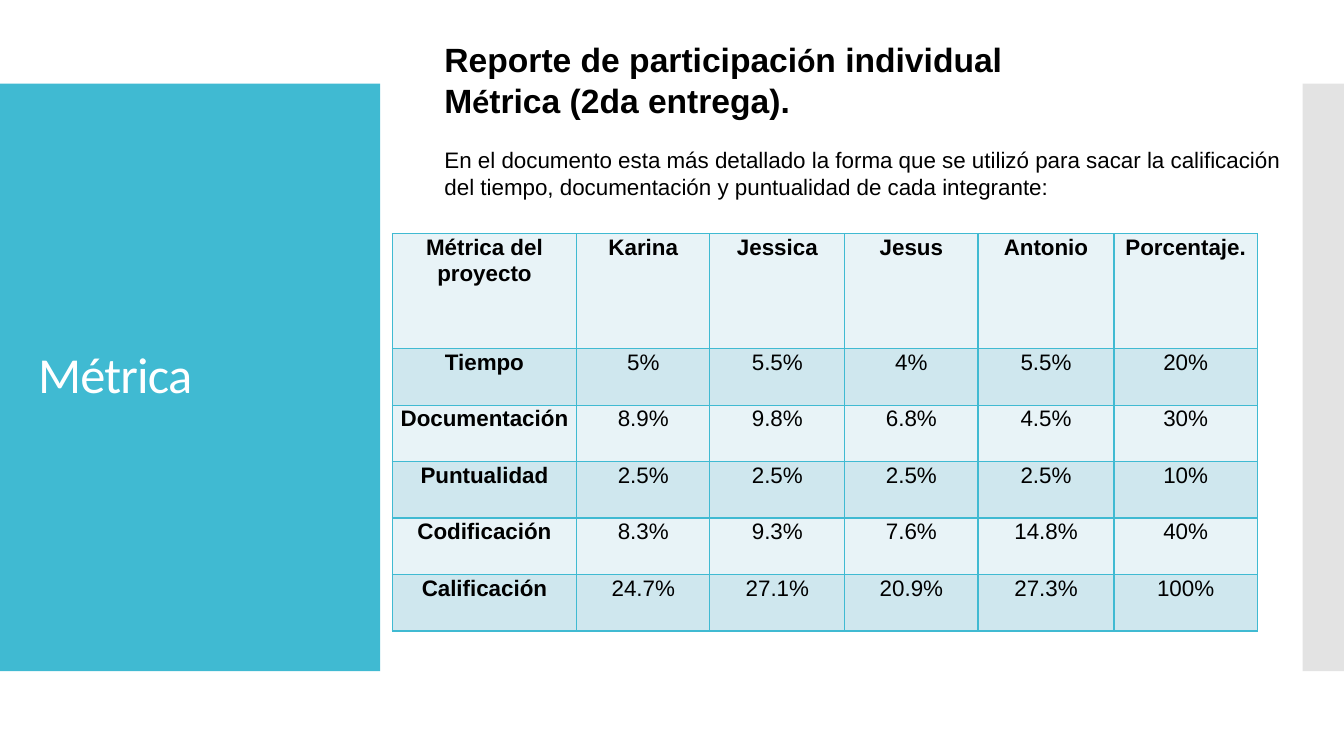
"""Build the slide with the individual participation metrics."""
from lxml import etree
from pptx import Presentation
from pptx.dml.color import RGBColor
from pptx.enum import shapes, text
from pptx.oxml import ns
from pptx.util import Inches, Pt

TEAL = RGBColor(0x40, 0xBA, 0xD2)
GREY = RGBColor(0xC8, 0xC8, 0xC8)
WHITE = RGBColor(0xFF, 0xFF, 0xFF)
BLACK = RGBColor(0, 0, 0)
ROW_FILLS = (RGBColor(0xE8, 0xF3, 0xF7), RGBColor(0xCF, 0xE7, 0xEE))

COLUMN_WIDTHS = (1.83, 1.32, 1.34, 1.32, 1.35, 1.42)
ROW_HEIGHTS = (1.14, 0.56, 0.56, 0.56, 0.56, 0.56)
METRICS = (
    ("Métrica del proyecto", "Karina", "Jessica", "Jesus", "Antonio", "Porcentaje."),
    ("Tiempo", "5%", "5.5%", "4%", "5.5%", "20%"),
    ("Documentación", "8.9%", "9.8%", "6.8%", "4.5%", "30%"),
    ("Puntualidad", "2.5%", "2.5%", "2.5%", "2.5%", "10%"),
    ("Codificación", "8.3%", "9.3%", "7.6%", "14.8%", "40%"),
    ("Calificación", "24.7%", "27.1%", "20.9%", "27.3%", "100%"),
)
HEADING = (
    (("Reporte de participaci", "Arial"), ("ó", "Calibri"), ("n individual", "Arial")),
    (("M", "Arial"), ("é", "Calibri"), ("trica (2da entrega).", "Arial")),
)
EXPLANATION = (
    "En el documento esta más detallado la forma que se utilizó para sacar la "
    "calificación del tiempo, documentación y puntualidad de cada integrante:"
)


def add_panel(slide, left, width, color, opacity=100):
    """Add a side panel of the given colour and opacity in percent."""
    panel = slide.shapes.add_shape(
        shapes.MSO_SHAPE.RECTANGLE, Inches(left), Inches(0.83), Inches(width), Inches(5.83)
    )
    panel.shadow.inherit = False
    panel.line.fill.background()
    panel.fill.solid()
    panel.fill.fore_color.rgb = color
    if opacity < 100:
        color_element = panel.fill._xPr.find(".//" + ns.qn("a:srgbClr"))
        etree.SubElement(color_element, ns.qn("a:alpha"), val=str(opacity * 1000))


def add_text_box(slide, left, top, width, height):
    """Add a wrapping text box and return its text frame."""
    box = slide.shapes.add_textbox(Inches(left), Inches(top), Inches(width), Inches(height))
    box.text_frame.word_wrap = True
    return box.text_frame


def add_run(paragraph, content, size, font="Arial", bold=False, color=BLACK):
    """Add one formatted run to a paragraph and return it."""
    run = paragraph.add_run()
    run.text = content
    run.font.size = Pt(size)
    run.font.name = font
    run.font.bold = bold
    run.font.color.rgb = color
    return run


def add_title(slide):
    """Add the slide title over the teal panel."""
    frame = add_text_box(slide, 0.28, 1.23, 3.22, 5.03)
    frame.vertical_anchor = text.MSO_ANCHOR.MIDDLE
    paragraph = frame.paragraphs[0]
    paragraph.line_spacing = 0.9
    run = add_run(paragraph, "Métrica", 36, "Calibri", color=WHITE)
    run.font._element.set("spc", "-60")


def add_report(slide):
    """Add the report heading and its explanation."""
    frame = add_text_box(slide, 4.31, 0.34, 8.59, 1.72)
    paragraph = frame.paragraphs[0]
    for line in HEADING:
        for content, font in line:
            add_run(paragraph, content, 24, font, bold=True)
        paragraph = frame.add_paragraph()
    paragraph.space_before = Pt(18.5)
    add_run(paragraph, EXPLANATION, 16)


def add_borders(cell):
    """Draw a thin teal border on each side of a cell."""
    properties = cell._tc.get_or_add_tcPr()
    for index, side in enumerate(("lnL", "lnR", "lnT", "lnB")):
        line = etree.Element(ns.qn("a:" + side), w=str(Pt(1)))
        fill = etree.SubElement(line, ns.qn("a:solidFill"))
        etree.SubElement(fill, ns.qn("a:srgbClr"), val=str(TEAL))
        properties.insert(index, line)


def fill_cell(cell, content, fill, bold):
    """Write and format one table cell."""
    cell.margin_left = cell.margin_right = Inches(0.07)
    cell.margin_top = cell.margin_bottom = 0
    cell.fill.solid()
    cell.fill.fore_color.rgb = fill
    add_borders(cell)
    paragraph = cell.text_frame.paragraphs[0]
    paragraph.alignment = text.PP_ALIGN.CENTER
    paragraph.line_spacing = 1.06
    add_run(paragraph, content, 16, bold=bold)


def add_metrics_table(slide):
    """Add the table of metrics per team member."""
    frame = slide.shapes.add_table(
        len(ROW_HEIGHTS), len(COLUMN_WIDTHS), Inches(3.89), Inches(2.32),
        Inches(sum(COLUMN_WIDTHS)), Inches(sum(ROW_HEIGHTS)),
    )
    table = frame.table
    for column, width in zip(table.columns, COLUMN_WIDTHS):
        column.width = Inches(width)
    for row, height in zip(table.rows, ROW_HEIGHTS):
        row.height = Inches(height)
    for row_index, values in enumerate(METRICS):
        for column_index, value in enumerate(values):
            bold = row_index == 0 or column_index == 0
            fill_cell(table.cell(row_index, column_index), value, ROW_FILLS[row_index % 2], bold)


def main():
    """Build and save the presentation."""
    presentation = Presentation()
    presentation.slide_width = Inches(13.33)
    presentation.slide_height = Inches(7.5)
    slide = presentation.slides.add_slide(presentation.slide_layouts[6])
    add_panel(slide, 0, 3.77, TEAL)
    add_panel(slide, 12.92, 0.41, GREY, opacity=50)
    add_title(slide)
    add_report(slide)
    add_metrics_table(slide)
    presentation.save("out.pptx")


if __name__ == "__main__":
    main()
